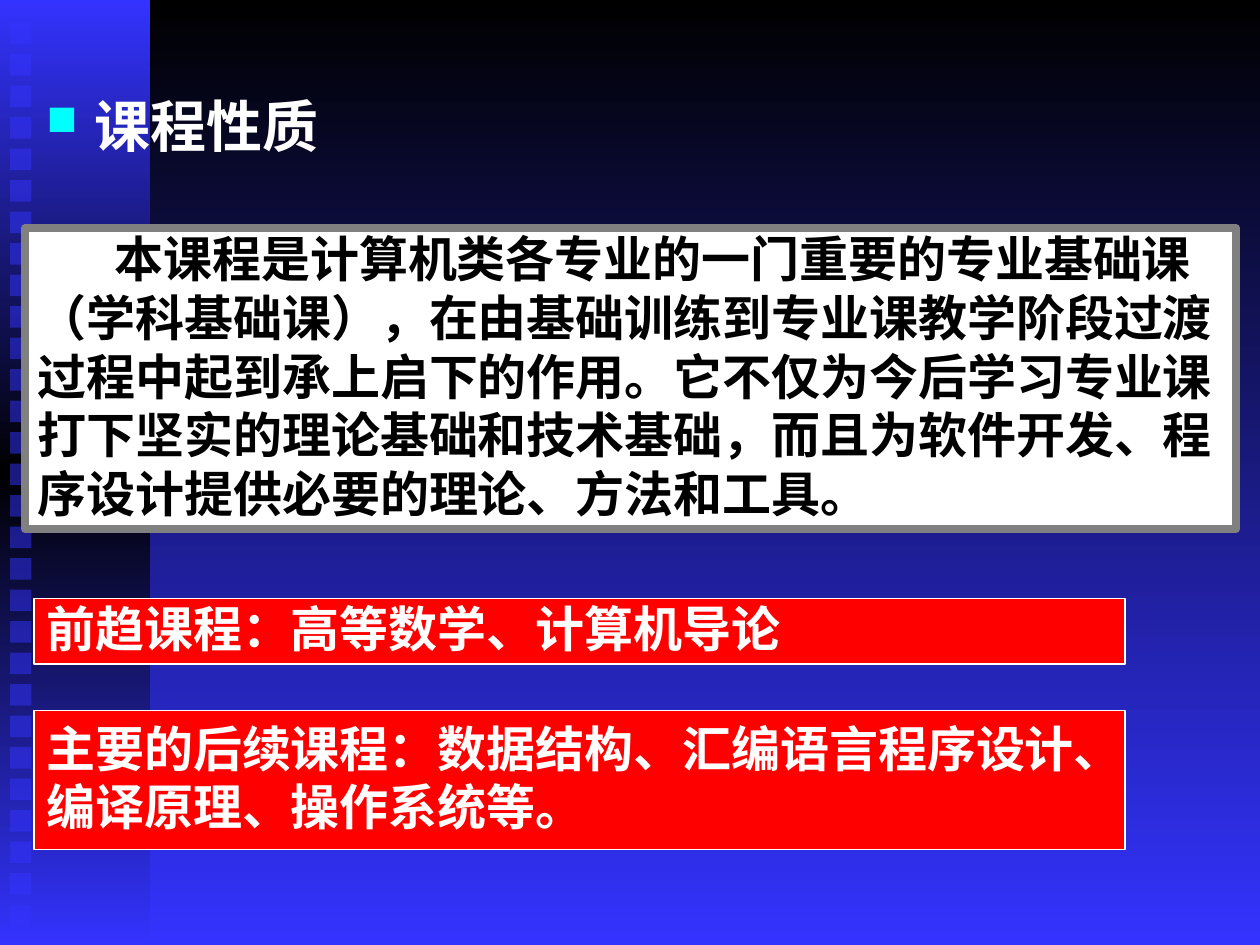
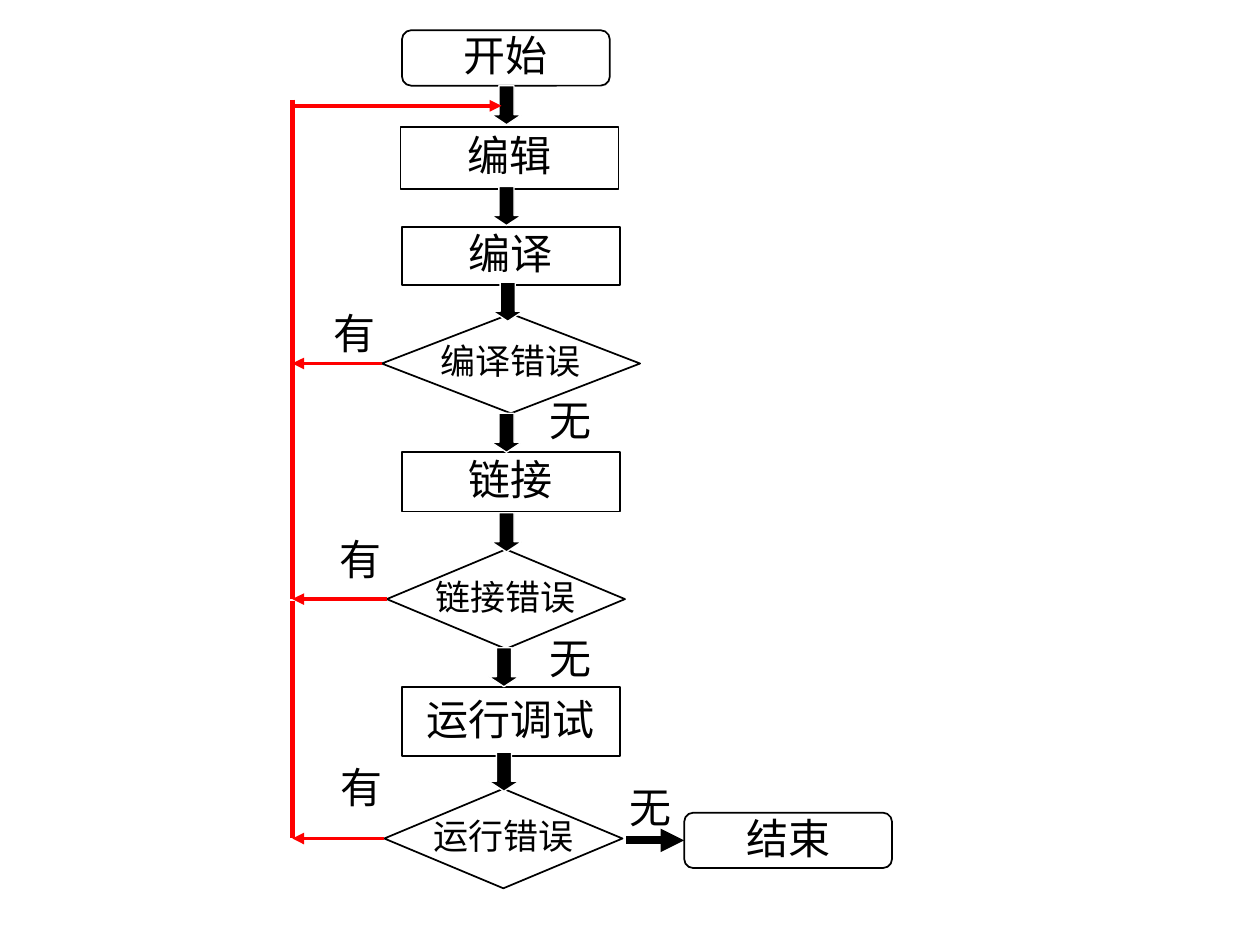
import pptx
import pptx.util
import pptx.dml.color
import pptx.enum.shapes
import pptx.enum.text
import pptx.oxml
import pptx.oxml.ns
from lxml import etree

Inches, Pt = pptx.util.Inches, pptx.util.Pt
KIND = pptx.enum.shapes.MSO_SHAPE
ALIGN = pptx.enum.text.PP_ALIGN
qn = pptx.oxml.ns.qn

FONT = "Times New Roman"
HUE = {"black": "000000", "blue": "3333FF", "white": "FFFFFF",
       "gray": "808080", "red": "FF0000", "cyan": "00FFFF"}

# Course slide: box, fill, line, line width, text colour, first-line indent, lines
TITLE = "课程性质"
PANELS = [
    ((0.2, 1.81, 9.61, 2.39), "white", "gray", 4.5, "black", 0.61,
     ["本课程是计算机类各专业的一门重要的专业基础课",
      "（学科基础课），在由基础训练到专业课教学阶段过渡过程中起到承上启下的作用。"
      "它不仅为今后学习专业课打下坚实的理论基础和技术基础，"
      "而且为软件开发、程序设计提供必要的理论、方法和工具。"]),
    ((0.27, 4.75, 8.66, 0.52), "red", "white", 0.75, "white", 0,
     ["前趋课程：高等数学、计算机导论"]),
    ((0.27, 5.64, 8.66, 1.1), "red", "white", 0.75, "white", 0,
     ["主要的后续课程：数据结构、汇编语言程序设计、", "编译原理、操作系统等。"]),
]

# Flow slide: role, text, box
STEPS = [
    ("end", "开始", (3.19, 0.24, 1.65, 0.44)),
    ("step", "编辑", (3.18, 1.01, 1.73, 0.49)),
    ("step", "编译", (3.19, 1.8, 1.73, 0.46)),
    ("test", "编译错误", (3.03, 2.49, 2.05, 0.79)),
    ("step", "链接", (3.19, 3.59, 1.73, 0.47)),
    ("test", "链接错误", (3.07, 4.36, 1.89, 0.79)),
    ("step", "运行调试", (3.19, 5.45, 1.73, 0.55)),
    ("test", "运行错误", (3.05, 6.26, 1.89, 0.79)),
    ("end", "结束", (5.43, 6.45, 1.65, 0.44)),
]
ROLES = {"end": (KIND.FLOWCHART_ALTERNATE_PROCESS, 24),
         "step": (KIND.FLOWCHART_PROCESS, 24),
         "test": (KIND.FLOWCHART_DECISION, 20)}
DROPS = [(3.9, 0.68), (3.9, 1.48), (3.91, 2.24), (3.9, 3.28),
         (3.9, 4.07), (3.88, 5.14), (3.88, 5.97)]
LOOPS = [("编译错误", 0.79), ("链接错误", 2.81), ("运行错误", 4.77)]
RAIL = 2.32
LABELS = [("无", 3.9, 3.04), ("无", 3.9, 4.93), ("无", 4.53, 6.11),
          ("有", 2.18, 2.35), ("有", 2.23, 4.14), ("有", 2.24, 5.95)]


def rgb(name):
    return pptx.dml.color.RGBColor.from_string(HUE[name])


def grade(fill, root, names):
    """Downward gradient with evenly spaced stops."""
    fill.gradient()
    fill.gradient_angle = 270
    stops = next(root.iter(qn("a:gsLst")))
    for old in list(stops):
        stops.remove(old)
    for i, name in enumerate(names):
        stop = etree.SubElement(stops, qn("a:gs"), pos=str(100000 * i // (len(names) - 1)))
        etree.SubElement(stop, qn("a:srgbClr"), val=HUE[name])


def draw(slide, kind, box, fill=None, line=None, width=0.75):
    shape = slide.shapes.add_shape(kind, *map(Inches, box))
    shape.shadow.inherit = False
    if fill:
        shape.fill.solid()
        shape.fill.fore_color.rgb = rgb(fill)
    if line:
        shape.line.color.rgb = rgb(line)
        shape.line.width = Pt(width)
    else:
        shape.line.fill.background()
    return shape


def write(shape, lines, size, color="black", bold=False, align=ALIGN.CENTER, wrap=False):
    frame = shape.text_frame
    frame.word_wrap = wrap
    frame.vertical_anchor = pptx.enum.text.MSO_ANCHOR.MIDDLE
    frame.margin_top = 0
    frame.text = "\n".join(lines)
    for para in frame.paragraphs:
        para.alignment = align
        font = para.font
        font.name, font.size, font.bold = FONT, Pt(size), bold
        font.color.rgb = rgb(color)
    return frame


def link(slide, start, end, color, width, head=True):
    line = slide.shapes.add_connector(
        pptx.enum.shapes.MSO_CONNECTOR.STRAIGHT, *map(Inches, start + end))
    line.line.color.rgb = rgb(color)
    line.line.width = Pt(width)
    if head:
        etree.SubElement(line.line._get_or_add_ln(), qn("a:tailEnd"), type="triangle")
    etree.SubElement(line.element.spPr, qn("a:effectLst"))
    return line


def course(slide):
    # Background, side band and column of dots
    grade(slide.background.fill, slide.element, ["black", "blue"])
    band = draw(slide, KIND.RECTANGLE, (0, 0, 1.19, 7.5))
    grade(band.fill, band.element, ["blue", "black", "blue"])
    for i in range(29):
        dot = draw(slide, KIND.RECTANGLE, (0.08, 0.18 + 0.25 * i, 0.17, 0.17), "blue")
        tint = next(dot.element.spPr.iter(qn("a:srgbClr")))
        etree.SubElement(tint, qn("a:alpha"), val="50000")

    # Text panels
    for box, fill, edge, width, color, indent, lines in PANELS:
        panel = draw(slide, KIND.RECTANGLE, box, fill, edge, width)
        frame = write(panel, lines, 28, color, True, ALIGN.LEFT, True)
        if len(lines) > 1 and not indent:
            frame.word_wrap = False
        if indent:
            frame.paragraphs[0]._p.get_or_add_pPr().set("indent", str(Inches(indent)))

    # Bulleted title
    title = slide.shapes.add_textbox(*map(Inches, (0.27, 0.68, 8.5, 0.79)))
    frame = write(title, [TITLE], 32, "white", True, ALIGN.LEFT, True)
    frame.vertical_anchor = pptx.enum.text.MSO_ANCHOR.TOP
    frame.margin_top = Inches(0.05)
    props = frame.paragraphs[0]._p.get_or_add_pPr()
    props.set("marL", str(Inches(0.38)))
    props.set("indent", str(-Inches(0.38)))
    marks = [pptx.oxml.parse_xml(
        f'<a:{tag} xmlns:a="{pptx.oxml.ns.nsuri("a")}" {attrs}>{body}</a:{tag}>')
        for tag, attrs, body in [
            ("buClr", "", f'<a:srgbClr val="{HUE["cyan"]}"/>'),
            ("buSzPct", 'val="75000"', ""),
            ("buChar", 'char="■"', "")]]
    for i, mark in enumerate(marks):
        props.insert(i, mark)


def flow(slide):
    slide.background.fill.solid()
    slide.background.fill.fore_color.rgb = rgb("white")

    # Steps and the block arrows between them
    nodes = {}
    for role, text, box in STEPS:
        kind, size = ROLES[role]
        nodes[text] = draw(slide, kind, box, "white", "black", 1)
        write(nodes[text], [text], size)
    for x, y in DROPS:
        drop = draw(slide, KIND.DOWN_ARROW, (x, y, 0.24, 0.31), "black", "white")
        drop.adjustments[1] = 0.33

    # Red return path
    for name, top in LOOPS:
        node = nodes[name]
        mid = (node.top + node.height / 2) / Inches(1)
        back = link(slide, (node.left / Inches(1), mid), (RAIL, mid), "red", 2.25)
        back.begin_connect(node, 1)
        link(slide, (RAIL, top), (RAIL, mid), "red", 3, False)
    link(slide, (RAIL, 0.84), (3.98, 0.84), "red", 2.25)

    # Way out
    out = link(slide, (4.97, 6.67), (5.43, 6.67), "black", 4.5)
    out.end_connect(nodes["结束"], 1)

    # Branch labels
    for text, x, y in LABELS:
        label = slide.shapes.add_textbox(*map(Inches, (x, y, 1.26, 0.63)))
        write(label, [text], 24)


def main():
    deck = pptx.Presentation()
    deck.slide_width, deck.slide_height = Inches(10), Inches(7.5)
    for build in (course, flow):
        build(deck.slides.add_slide(deck.slide_layouts[6]))
    deck.save("out.pptx")


if __name__ == "__main__":
    main()
